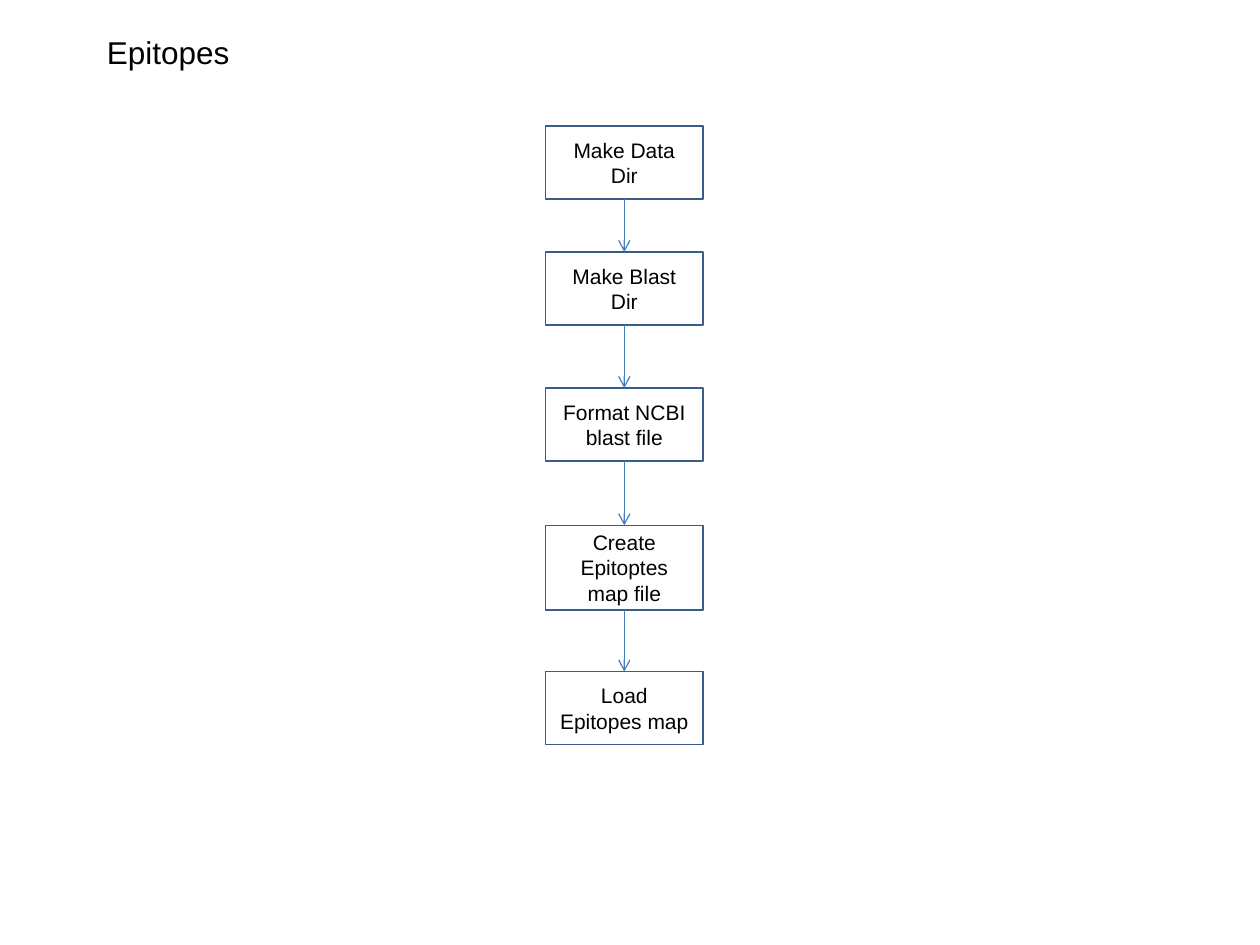
from dataclasses import dataclass
from itertools import pairwise

from lxml.etree import SubElement
from pptx import Presentation
from pptx.dml.color import RGBColor
from pptx.enum.shapes import MSO_CONNECTOR, MSO_SHAPE
from pptx.enum.text import MSO_ANCHOR, MSO_AUTO_SIZE, PP_ALIGN
from pptx.oxml.ns import qn
from pptx.util import Inches, Pt


@dataclass(frozen=True)
class Theme:
    font: str = "Arial"
    text: RGBColor = RGBColor(0x00, 0x00, 0x00)
    border: RGBColor = RGBColor(0x38, 0x5D, 0x8A)
    arrow: RGBColor = RGBColor(0x4A, 0x7E, 0xBB)
    title_size: float = 18
    step_size: float = 12
    border_width: float = 1
    arrow_width: float = 0.75


THEME = Theme()
STEP_LEFT = 4.33
STEP_WIDTH = 1.25
STEPS = [
    ("Make Data Dir", 1, 0.58),
    ("Make Blast Dir", 2, 0.58),
    ("Format NCBI blast file", 3.08, 0.58),
    ("Create Epitoptes map file", 4.17, 0.67),
    ("Load Epitopes map", 5.33, 0.58),
]


def set_text(shape, text, size):
    frame = shape.text_frame
    frame.text = text
    frame.word_wrap = True
    frame.auto_size = MSO_AUTO_SIZE.NONE
    frame.vertical_anchor = MSO_ANCHOR.MIDDLE
    paragraph = frame.paragraphs[0]
    paragraph.alignment = PP_ALIGN.CENTER
    font = paragraph.runs[0].font
    font.name = THEME.font
    font.size = Pt(size)
    font.color.rgb = THEME.text


def set_title(slide, text):
    title = slide.shapes.title
    title.left, title.top = Inches(0.5), Inches(0.25)
    title.width, title.height = Inches(1.67), Inches(0.33)
    set_text(title, text, THEME.title_size)
    frame = title.text_frame
    frame.margin_left = frame.margin_right = 0
    frame.margin_top = frame.margin_bottom = 0


def add_step(slide, text, top, height):
    step = slide.shapes.add_shape(
        MSO_SHAPE.RECTANGLE,
        Inches(STEP_LEFT), Inches(top), Inches(STEP_WIDTH), Inches(height),
    )
    step.shadow.inherit = False
    step.fill.background()
    step.line.color.rgb = THEME.border
    step.line.width = Pt(THEME.border_width)
    set_text(step, text, THEME.step_size)
    return step


def add_arrow(slide, upper, lower):
    arrow = slide.shapes.add_connector(MSO_CONNECTOR.STRAIGHT, 0, 0, 0, 0)
    arrow.begin_connect(upper, 2)
    arrow.end_connect(lower, 0)
    arrow.line.color.rgb = THEME.arrow
    arrow.line.width = Pt(THEME.arrow_width)
    SubElement(arrow.line._get_or_add_ln(), qn("a:tailEnd"), type="arrow")
    SubElement(arrow._element.spPr, qn("a:effectLst"))


def main():
    presentation = Presentation()
    presentation.slide_width = Inches(10)
    presentation.slide_height = Inches(7.5)
    slide = presentation.slides.add_slide(presentation.slide_layouts[5])
    set_title(slide, "Epitopes")
    steps = [add_step(slide, *step) for step in STEPS]
    for upper, lower in pairwise(steps):
        add_arrow(slide, upper, lower)
    presentation.save("out.pptx")


if __name__ == "__main__":
    main()
